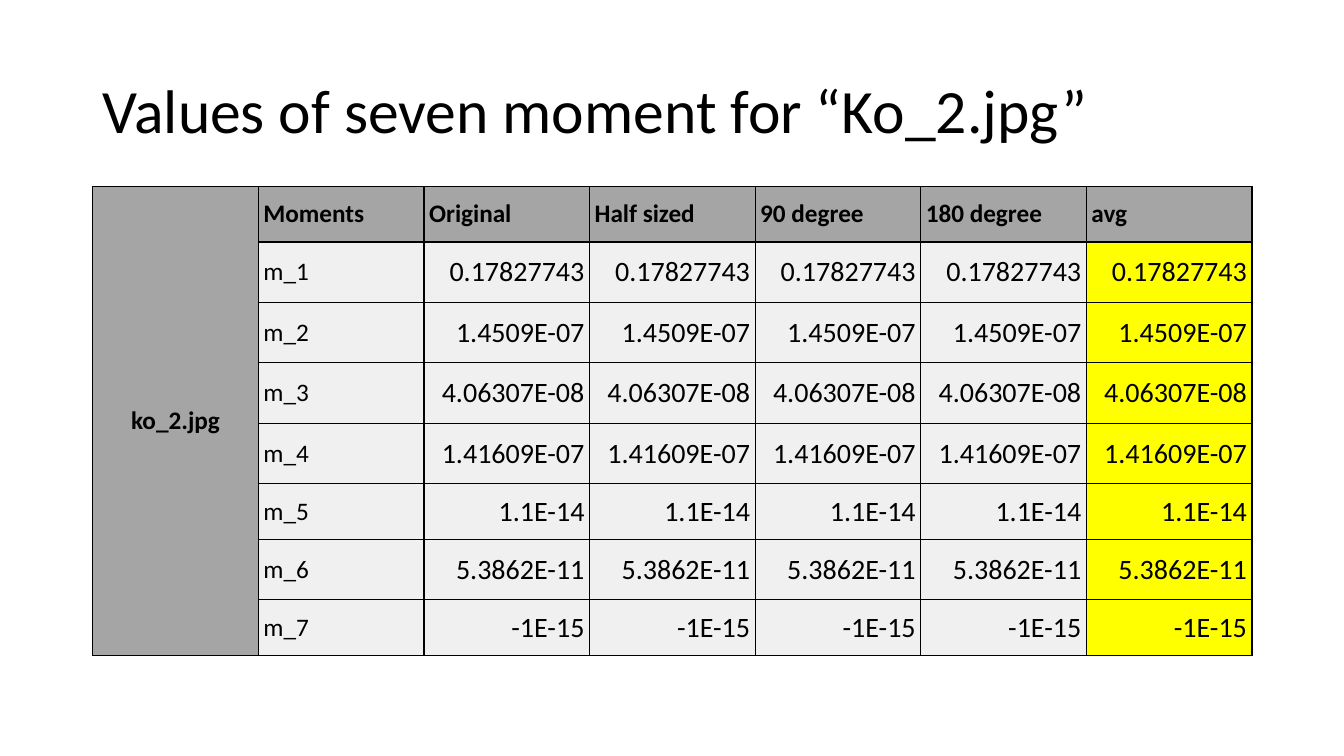
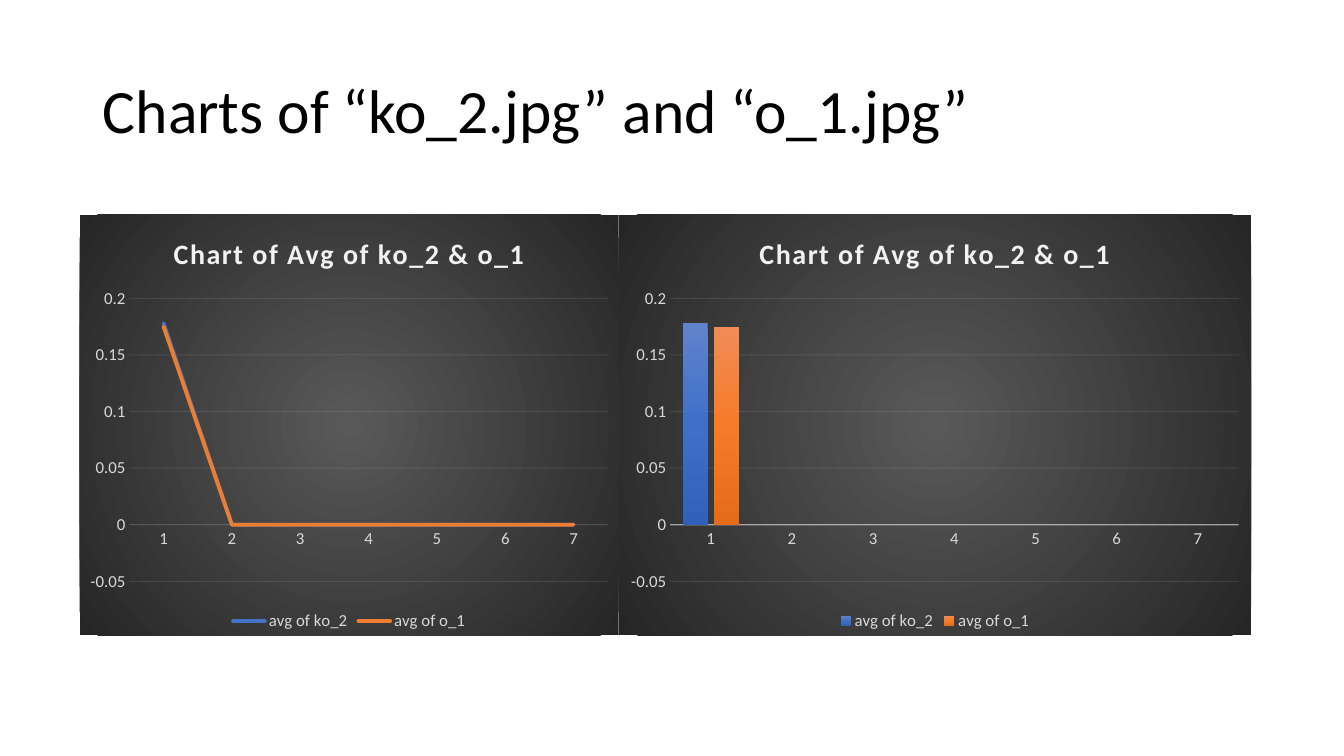
import pptx
import pptx.util
import pptx.oxml
import pptx.oxml.ns
import pptx.dml.color
import pptx.chart.data
import pptx.enum.text
import pptx.enum.chart
import lxml.etree

WIDE, HIGH = 13.33, 7.5
FONT = "Calibri"
BLACK, GREY, PALE, YELLOW = "000000", "A5A5A5", "F0F0F0", "FFFF00"
LIGHT, LABEL = "F2F2F2", "D9D9D9"
HEAD = (0.92, 0.4, 11.5, 1.45)
TABLE = (0.92, 1.85, 11.5, 4.65)
CHARTS = (0.79, 2.13, 11.62, 4.17)
SHARE = 0.46
ROWS = (0.55, 0.6, 0.6, 0.6, 0.6, 0.55, 0.6, 0.55)
NAMES = ("Moments", "Original", "Half sized", "90 degree", "180 degree", "avg")
VALUES = ("0.17827743", "1.4509E-07", "4.06307E-08", "1.41609E-07",
          "1.1E-14", "5.3862E-11", "-1E-15")
SERIES = (("avg of ko_2", 0.178), ("avg of o_1", 0.175))
LINES = ("4472C4", "ED7D31")
BARS = (("6183CB", "3E70CA", "3062BB"), ("F18C57", "F67B28", "E56C19"))
LINEAR = '<a:lin ang="5400000" scaled="0"/>'
RADIAL = ('<a:path path="circle">'
          '<a:fillToRect l="50000" t="50000" r="50000" b="50000"/></a:path>')

inch = pptx.util.Inches
qname = pptx.oxml.ns.qn
align = pptx.enum.text.PP_ALIGN
middle = pptx.enum.text.MSO_ANCHOR.MIDDLE
kinds = pptx.enum.chart.XL_CHART_TYPE


def tint(code):
    """Turn a hex string into a colour."""
    return pptx.dml.color.RGBColor.from_string(code)


def style(font, size, code, bold=False):
    """Format a font."""
    font.name, font.size, font.bold = FONT, pptx.util.Pt(size), bold
    font.color.rgb = tint(code)


def write(par, text, size, code, bold=False):
    """Add one formatted run to a paragraph."""
    run = par.add_run()
    run.text = text
    style(run.font, size, code, bold)
    return run


def blend(codes, shape):
    """Make a gradient fill with evenly spaced stops."""
    step = 100000 // (len(codes) - 1)
    stops = "".join(f'<a:gs pos="{i * step}"><a:srgbClr val="{code}"/></a:gs>'
                    for i, code in enumerate(codes))
    return pptx.oxml.parse_xml(
        f'<a:gradFill {pptx.oxml.ns.nsdecls("a")} rotWithShape="1">'
        f'<a:gsLst>{stops}</a:gsLst>{shape}</a:gradFill>')


def rule(line, width, alpha):
    """Draw a light line with the given opacity in percent."""
    line.width = pptx.util.Pt(width)
    line.color.rgb = tint(LIGHT)
    node = line._get_or_add_ln().find(".//" + qname("a:srgbClr"))
    lxml.etree.SubElement(node, qname("a:alpha"), val=str(alpha * 1000))


def start(deck, text):
    """Add a slide with its title."""
    slide = deck.slides.add_slide(deck.slide_layouts[5])
    title = slide.shapes.title
    title.left, title.top, title.width, title.height = map(inch, HEAD)
    title.text_frame.vertical_anchor = middle
    par = title.text_frame.paragraphs[0]
    par.alignment, par.line_spacing = align.LEFT, 0.9
    write(par, text, 44, BLACK)
    return slide


def paint(cell, code):
    """Give a cell thin black borders, a fill and small margins."""
    props = cell._tc.get_or_add_tcPr()
    for side in "LRTB":
        props.append(pptx.oxml.parse_xml(
            f'<a:ln{side} {pptx.oxml.ns.nsdecls("a")} w="12700"><a:solidFill>'
            f'<a:srgbClr val="{BLACK}"/></a:solidFill></a:ln{side}>'))
    cell.fill.solid()
    cell.fill.fore_color.rgb = tint(code)
    cell.margin_left = cell.margin_right = inch(0.05)
    cell.margin_top = cell.margin_bottom = inch(0.05)
    cell.vertical_anchor = middle


def grid(slide, box):
    """Place the table of moments in a box."""
    cols = len(NAMES) + 1
    table = slide.shapes.add_table(len(ROWS), cols, *map(inch, box)).table
    for col in table.columns:
        col.width = inch(box[2] / cols)
    for row, high in zip(table.rows, ROWS):
        row.height = inch(box[3] * high / sum(ROWS))
    body = [(f"m_{i}",) + (value,) * 5 for i, value in enumerate(VALUES, 1)]
    for r, line in enumerate([NAMES] + body):
        paint(table.cell(r, 0), GREY)
        for c, text in enumerate(line, 1):
            cell = table.cell(r, c)
            number = r > 0 and c > 1
            paint(cell, GREY if r == 0 else YELLOW if c == cols - 1 else PALE)
            par = cell.text_frame.paragraphs[0]
            par.alignment = align.RIGHT if number else align.LEFT
            write(par, text, 20 if number else 18, BLACK, r == 0)
    table.cell(0, 0).merge(table.cell(len(ROWS) - 1, 0))
    par = table.cell(0, 0).text_frame.paragraphs[0]
    par.alignment = align.CENTER
    write(par, "ko_2.jpg", 18, BLACK, True)


def plot(slide, box, kind):
    """Place a dark chart of the averages in a box."""
    data = pptx.chart.data.CategoryChartData()
    data.categories = [str(i) for i in range(1, 8)]
    for name, first in SERIES:
        data.add_series(name, [first] + [0] * 6)
    chart = slide.shapes.add_chart(kind, *map(inch, box), data).chart
    style(chart.font, 10, BLACK)
    back = pptx.oxml.parse_xml(
        f'<c:spPr {pptx.oxml.ns.nsdecls("c", "a")}>'
        '<a:ln><a:noFill/></a:ln></c:spPr>')
    back.insert(0, blend(("595959", "262626"), RADIAL))
    chart._chartSpace.find(qname("c:chart")).addnext(back)
    chart.has_title = True
    run = write(chart.chart_title.text_frame.paragraphs[0],
                "Chart of Avg of ko_2 & o_1", 20, LIGHT, True)
    run._r.get_or_add_rPr().set("spc", "100")
    chart.has_legend = True
    chart.legend.position = pptx.enum.chart.XL_LEGEND_POSITION.BOTTOM
    chart.legend.include_in_layout = False
    style(chart.legend.font, 12, LABEL)
    for axis in (chart.category_axis, chart.value_axis):
        axis.major_tick_mark = pptx.enum.chart.XL_TICK_MARK.NONE
        axis.minor_tick_mark = pptx.enum.chart.XL_TICK_MARK.NONE
        style(axis.tick_labels.font, 12, LABEL)
    scale = chart.value_axis
    scale.minimum_scale, scale.maximum_scale = -0.05, 0.2
    scale.major_unit = 0.05
    scale.format.line.fill.background()
    rule(scale.major_gridlines.format.line, 0.75, 10)
    chart.plots[0].vary_by_categories = False
    return chart


def trend(slide, box):
    """Place the line chart in a box."""
    chart = plot(slide, box, kinds.LINE)
    rule(chart.category_axis.format.line, 0.75, 10)
    for item, code in zip(chart.series, LINES):
        item.smooth = False
        item.marker.style = pptx.enum.chart.XL_MARKER_STYLE.NONE
        item.format.line.width = pptx.util.Pt(2.75)
        item.format.line.color.rgb = tint(code)
        item.format.line._get_or_add_ln().set("cap", "rnd")


def bars(slide, box):
    """Place the column chart in a box."""
    chart = plot(slide, box, kinds.COLUMN_CLUSTERED)
    rule(chart.category_axis.format.line, 1, 54)
    chart.plots[0].gap_width, chart.plots[0].overlap = 100, -24
    for item, codes in zip(chart.series, BARS):
        item._element.get_or_add_spPr().insert(0, blend(codes, LINEAR))


def pair(slide, box):
    """Set both charts side by side in a box."""
    left, top, width, height = box
    part = width * SHARE
    bars(slide, (left + part, top, width - part, height))
    trend(slide, (left, top, part, height))


def main():
    """Build and save the deck."""
    deck = pptx.Presentation()
    deck.slide_width, deck.slide_height = inch(WIDE), inch(HIGH)
    grid(start(deck, "Values of seven moment for “Ko_2.jpg”"), TABLE)
    pair(start(deck, "Charts of “ko_2.jpg” and “o_1.jpg”"), CHARTS)
    deck.save("out.pptx")


if __name__ == "__main__":
    main()
